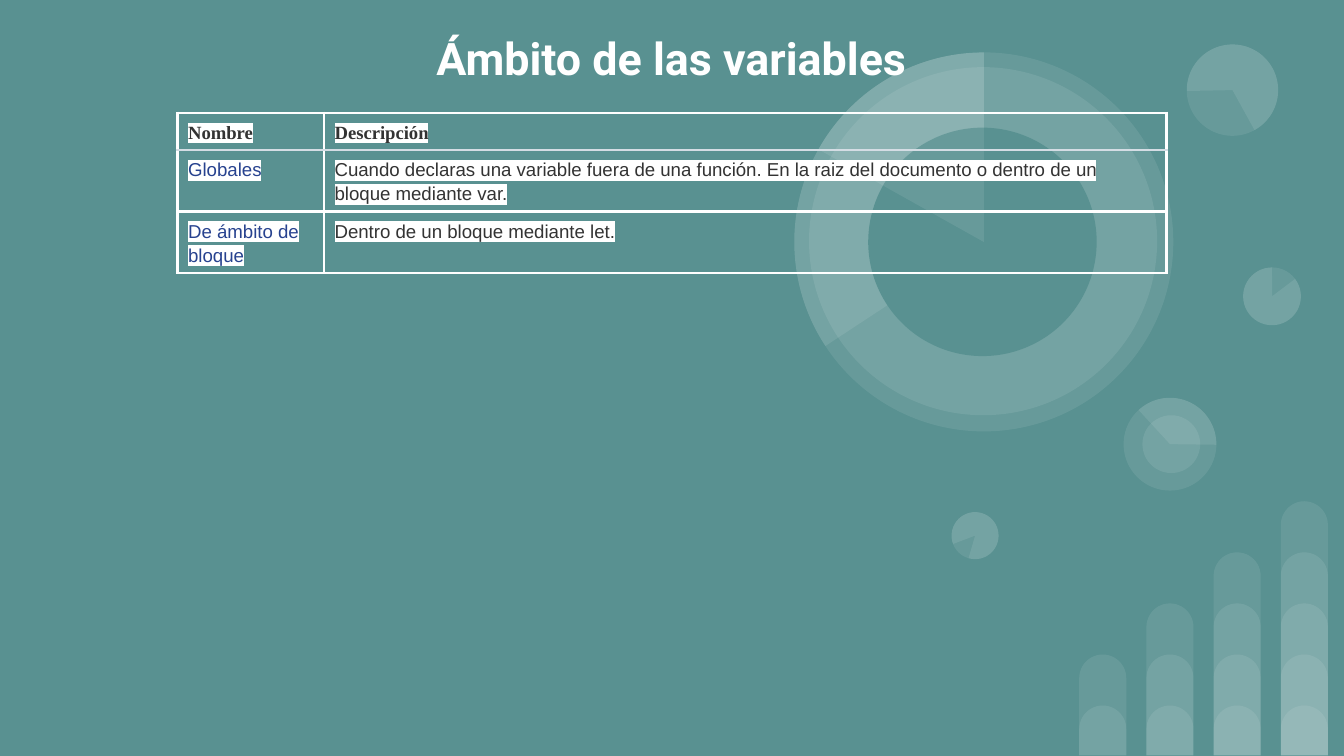
from lxml import etree
from pptx import Presentation
from pptx.dml.color import RGBColor
from pptx.enum.shapes import MSO_SHAPE
from pptx.enum.text import MSO_ANCHOR, PP_ALIGN
from pptx.oxml.ns import qn
from pptx.util import Inches, Pt


def rgb(value):
    return RGBColor.from_string(value)


def add_decor(kind, x, y, w, h, rotation=0, adjustments=(), color=None):
    sp = s.shapes.add_shape(kind, Inches(x), Inches(y), Inches(w), Inches(h))
    sp.shadow.inherit = False
    sp.line.fill.background()
    sp.rotation = rotation
    for i, value in enumerate(adjustments):
        sp.adjustments[i] = value
    sp.fill.solid()
    sp.fill.fore_color.rgb = rgb(color or "FFFFFF")
    if not color:
        clr = sp.fill._xPr.find(qn("a:solidFill"))[0]
        etree.SubElement(clr, qn("a:alpha"), val="9000")


prs = Presentation()
prs.slide_width = Inches(10)
prs.slide_height = Inches(10) * 9 // 16
s = prs.slides.add_slide(prs.slide_layouts[5])
s.background.fill.solid()
s.background.fill.fore_color.rgb = rgb("599191")

for column in range(4):
    for level in range(column + 2):
        height = 0.37 + 0.38 * level
        add_decor(MSO_SHAPE.ROUND_2_SAME_RECTANGLE, 8.03 + 0.5 * column,
                  5.62 - height, 0.35, height, adjustments=(0.5, 0))

circles = [
    (9.25, 1.99, 0.43, 0, None, [(322.95, 270)]),
    (7.08, 3.81, 0.35, 196.2, None, [(322.95, 270)]),
    (8.36, 2.96, 0.69, 90, None, [(137.41, 270.77)]),
    (8.5, 3.09, 0.43, 90, None, []),
    (8.83, 0.33, 0.68, 215.9, None, [(322.95, 205.23)]),
    (5.91, 0.39, 2.82, 0, None, [(146.69, 270)]),
    (6.02, 0.5, 2.59, 34.1, None, []),
    (6.46, 0.95, 1.7, 34.1, "599191", []),
]
for x, y, size, rotation, color, pies in circles:
    add_decor(MSO_SHAPE.OVAL, x, y, size, size, rotation, color=color)
    for angles in pies:
        add_decor(MSO_SHAPE.PIE, x, y, size, size, rotation,
                  [angle * 0.6 for angle in angles])
add_decor(MSO_SHAPE.PIE, 5.91, 0.39, 2.82, 2.82,
          adjustments=(209.24 * 0.6, 270 * 0.6))

title = s.shapes.title
title.left, title.top = Inches(0.73), Inches(0.22)
title.width, title.height = Inches(8.53), Inches(0.42)
s.shapes._spTree.append(title._element)
tf = title.text_frame
tf.text = "Ámbito de las variables"
tf.vertical_anchor = MSO_ANCHOR.MIDDLE
tf.margin_left = tf.margin_right = tf.margin_top = tf.margin_bottom = Inches(0.1)
p = tf.paragraphs[0]
p.alignment = PP_ALIGN.CENTER
p.font.size, p.font.bold, p.font.name = Pt(24), True, "Roboto"
p.font.color.rgb = rgb("FFFFFF")

rows = [
    ("Nombre", "Descripción"),
    ("Globales", "Cuando declaras una variable fuera de una función. En la raiz "
                 "del documento o dentro de un bloque mediante var."),
    ("De ámbito de bloque", "Dentro de un bloque mediante let."),
]
table = s.shapes.add_table(3, 2, Inches(1.32), Inches(0.84),
                           Inches(7.36), Inches(1.15)).table
table.first_row = table.horz_banding = False
for column, width in zip(table.columns, (1.09, 6.27)):
    column.width = Inches(width)
for row, height in zip(table.rows, (0.27, 0.44, 0.44)):
    row.height = Inches(height)

for i, texts in enumerate(rows):
    for j, text in enumerate(texts):
        cell = table.cell(i, j)
        cell.margin_left = cell.margin_right = Inches(0.08)
        cell.margin_top = cell.margin_bottom = Inches(0.05)
        tcPr = cell._tc.get_or_add_tcPr()
        for side in "LRTB":
            header_rule = (i, side) in ((0, "B"), (1, "T"))
            ln = etree.SubElement(tcPr, qn("a:ln" + side), w=str(Pt(1.47)))
            fill = etree.SubElement(ln, qn("a:solidFill"))
            etree.SubElement(fill, qn("a:srgbClr"),
                             val="D4DDE4" if header_rule else "FFFFFF")
        cell.fill.background()

        p = cell.text_frame.paragraphs[0]
        p.line_spacing = 1.15
        if i and j:
            p.space_after = Pt(18)
        r = p.add_run()
        r.text = text
        highlight = etree.SubElement(r._r.get_or_add_rPr(), qn("a:highlight"))
        etree.SubElement(highlight, qn("a:srgbClr"), val="FFFFFF")
        p.font.size, p.font.bold = Pt(10), i == 0
        p.font.name = "Arial" if i else "Times New Roman"
        p.font.color.rgb = rgb("27428F" if i and j == 0 else "333333")

prs.save("out.pptx")
